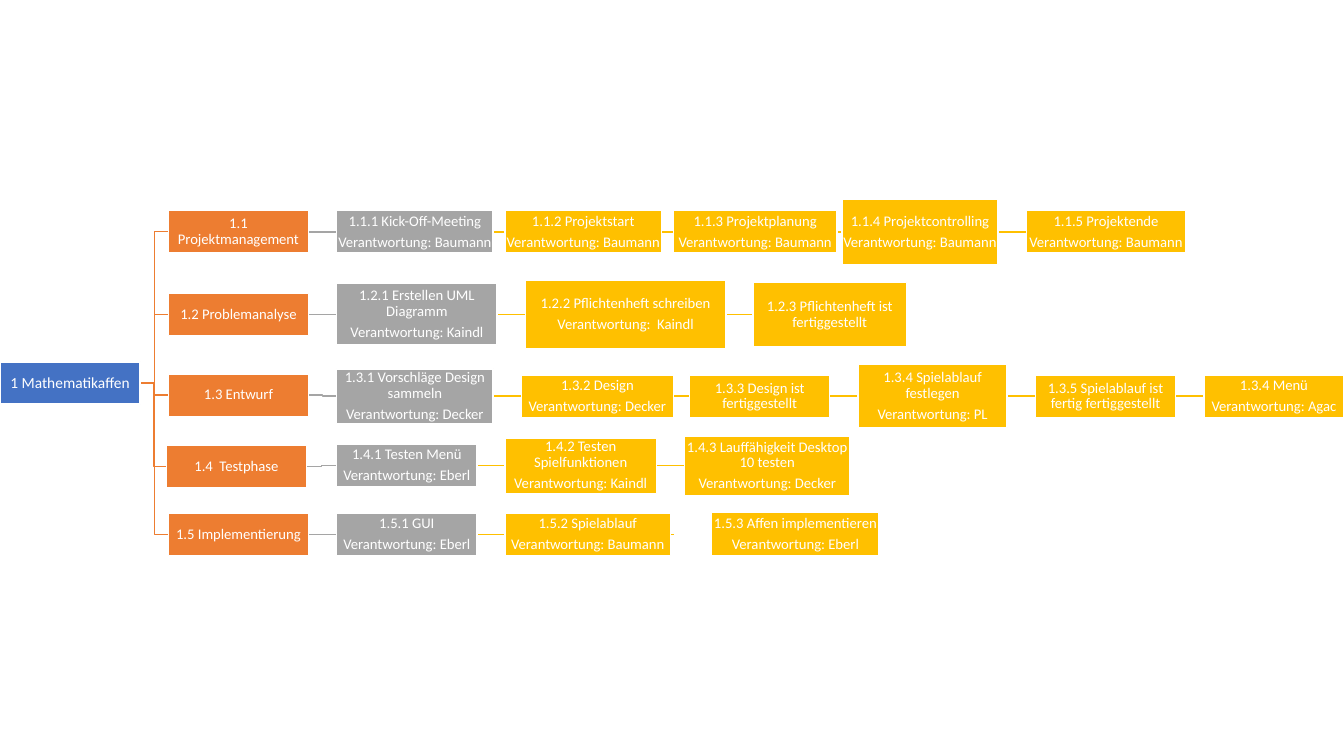
from dataclasses import dataclass

from lxml import etree
from pptx import Presentation
from pptx.dml.color import RGBColor
from pptx.enum.shapes import MSO_CONNECTOR, MSO_SHAPE
from pptx.enum.text import MSO_ANCHOR, PP_ALIGN
from pptx.oxml.ns import qn
from pptx.util import Inches, Pt

STRAIGHT, ELBOW = MSO_CONNECTOR.STRAIGHT, MSO_CONNECTOR.ELBOW
RECTANGLE = MSO_SHAPE.RECTANGLE
MIDDLE, CENTER = MSO_ANCHOR.MIDDLE, PP_ALIGN.CENTER


@dataclass(frozen=True)
class Theme:
    font: str = "Calibri"
    root: str = "4472C4"
    phase: str = "ED7D31"
    first: str = "A5A5A5"
    later: str = "FFC000"
    white: str = "FFFFFF"
    root_size: float = 11
    size: float = 10.5
    line: float = 1
    spacing: float = 0.9
    gap: float = 3.7


THEME = Theme()

# Content: phase = (title, left, middle), task = (title, owner, left, width, height)
ROOT = "1 Mathematikaffen"
PHASES = [
    (("1.1 Projektmanagement", 1.67, 2.3), 2.3, [
        ("1.1.1 Kick-Off-Meeting", "Baumann", 3.34, 1.55, 0.42),
        ("1.1.2 Projektstart", "Baumann", 5.01, 1.55, 0.42),
        ("1.1.3 Projektplanung", "Baumann", 6.68, 1.62, 0.42),
        ("1.1.4 Projektcontrolling", "Baumann", 8.35, 1.55, 0.65),
        ("1.1.5 Projektende", "Baumann", 10.18, 1.58, 0.42),
    ]),
    (("1.2 Problemanalyse", 1.67, 3.12), 3.12, [
        ("1.2.1 Erstellen UML Diagramm", "Kaindl", 3.34, 1.59, 0.61),
        ("1.2.2 Pflichtenheft schreiben", " Kaindl", 5.21, 1.99, 0.67),
        ("1.2.3 Pflichtenheft ist fertiggestellt", None, 7.47, 1.52, 0.64),
    ]),
    (("1.3 Entwurf", 1.67, 3.92), 3.93, [
        ("1.3.1 Vorschläge Design sammeln", "Decker", 3.34, 1.55, 0.54),
        ("1.3.2 Design", "Decker", 5.17, 1.51, 0.42),
        ("1.3.3 Design ist fertiggestellt", None, 6.84, 1.39, 0.42),
        ("1.3.4 Spielablauf festlegen", "PL", 8.51, 1.48, 0.63),
        ("1.3.5 Spielablauf ist fertig fertiggestellt", None, 10.27, 1.39, 0.42),
        ("1.3.4 Menü", "Agac", 11.94, 1.39, 0.42),
    ]),
    (("1.4  Testphase", 1.65, 4.63), 4.62, [
        ("1.4.1 Testen Menü", "Eberl", 3.34, 1.39, 0.42),
        ("1.4.2 Testen Spielfunktionen", "Kaindl", 5.01, 1.5, 0.55),
        ("1.4.3 Lauffähigkeit Desktop 10 testen", "Decker", 6.79, 1.64, 0.59),
    ]),
    (("1.5 Implementierung", 1.67, 5.3), 5.3, [
        ("1.5.1 GUI", "Eberl", 3.34, 1.39, 0.42),
        ("1.5.2 Spielablauf", "Baumann", 5.01, 1.64, 0.42),
        ("1.5.3 Affen implementieren", "Eberl", 7.06, 1.66, 0.43),
    ]),
]
LINK_ENDS = {"1.5.3 Affen implementieren": 6.68}  # link stops short of its box

BOX_WIDTH, BOX_HEIGHT = 1.39, 0.42
LINK_LENGTH = 0.28
ROOT_MIDDLE = 3.8
INSET = 0.01


def add_link(page, start, end, color):
    kind = STRAIGHT if start[1] == end[1] else ELBOW
    link = page.shapes.add_connector(kind, *(Inches(v) for v in start + end))
    link.line.color.rgb = RGBColor.from_string(color)
    link.line.width = Pt(THEME.line)
    etree.SubElement(link._element.spPr, qn("a:effectLst"))


def add_box(page, lines, left, middle, width, height, color, size=THEME.size):
    box = page.shapes.add_shape(RECTANGLE, Inches(left), Inches(middle - height / 2),
                                Inches(width), Inches(height))
    box.shadow.inherit = False
    box.fill.solid()
    box.fill.fore_color.rgb = RGBColor.from_string(color)
    box.line.color.rgb = RGBColor.from_string(THEME.white)
    box.line.width = Pt(THEME.line)
    frame = box.text_frame
    frame.word_wrap = True
    frame.vertical_anchor = MIDDLE
    frame.margin_left = frame.margin_right = Inches(INSET)
    frame.margin_top = frame.margin_bottom = Inches(INSET)
    frame.text = "\n".join(lines)
    for para in frame.paragraphs:
        para.alignment = CENTER
        para.line_spacing = THEME.spacing
        para.space_after = Pt(THEME.gap)
        for span in para.runs:
            span.font.name = THEME.font
            span.font.size = Pt(size)
            span.font.color.rgb = RGBColor.from_string(THEME.white)


def task_color(index):
    return THEME.later if index else THEME.first


def main():
    deck = Presentation()
    deck.slide_width, deck.slide_height = Inches(13.33), Inches(7.5)
    page = deck.slides.add_slide(deck.slide_layouts[6])

    # Links lie behind the boxes
    for (_, phase_left, phase_middle), task_middle, tasks in PHASES:
        add_link(page, (BOX_WIDTH, ROOT_MIDDLE), (phase_left, phase_middle), THEME.phase)
        for index, (title, _, left, _, _) in enumerate(tasks):
            end = LINK_ENDS.get(title, left)
            start = (end - LINK_LENGTH, task_middle)
            if index == 0:
                start = (phase_left + BOX_WIDTH, phase_middle)
            add_link(page, start, (end, task_middle), task_color(index))

    # Root, phases and their tasks
    add_box(page, [ROOT], 0, ROOT_MIDDLE, BOX_WIDTH, BOX_HEIGHT, THEME.root, THEME.root_size)
    for (name, phase_left, phase_middle), task_middle, tasks in PHASES:
        add_box(page, [name], phase_left, phase_middle, BOX_WIDTH, BOX_HEIGHT, THEME.phase)
        for index, (title, owner, left, width, height) in enumerate(tasks):
            lines = [title, f"Verantwortung: {owner}"] if owner else [title]
            add_box(page, lines, left, task_middle, width, height, task_color(index))

    deck.save("out.pptx")


if __name__ == "__main__":
    main()
